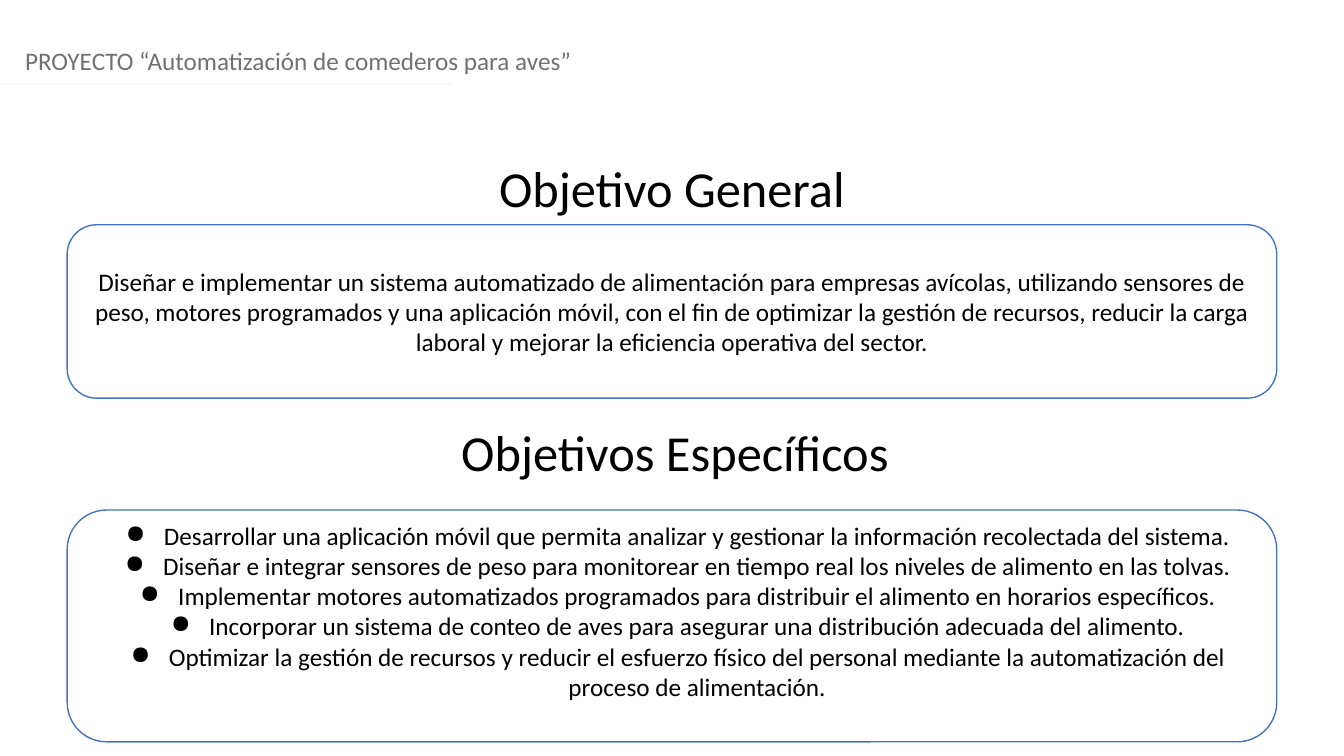
"""Build the objectives slide of the bird feeder project."""
from lxml import etree
from pptx import Presentation
from pptx.dml.color import RGBColor
from pptx.enum.shapes import MSO_CONNECTOR, MSO_SHAPE
from pptx.enum.text import MSO_ANCHOR, PP_ALIGN
from pptx.oxml.ns import qn
from pptx.util import Inches, Pt

ROUNDED = MSO_SHAPE.ROUNDED_RECTANGLE
STRAIGHT = MSO_CONNECTOR.STRAIGHT
MIDDLE = MSO_ANCHOR.MIDDLE
LEFT, CENTER = PP_ALIGN.LEFT, PP_ALIGN.CENTER

FONT = "Calibri"
COLORS = {"text": "000000", "project": "757070", "rule": "F5F7FC",
          "panel": "FFFFFF", "outline": "4472C4"}
WIDTH, HEIGHT = 13.33, 7.5
MARGIN = WIDTH * 0.05
HEADING_HEIGHT = 0.71
BODY_SIZE, HEADING_SIZE = 18, 36
BODY_LINE = 0.3
INSET = 0.05

HEADINGS = [
    ("PROYECTO “Automatización de comederos para aves”", 0.15, 0.4, BODY_SIZE, LEFT, "project"),
    ("Objetivo General", 0, 1.51, HEADING_SIZE, CENTER, "text"),
    ("Objetivos Específicos", 0.03, 4.13, HEADING_SIZE, CENTER, "text"),
]
GENERAL = [
    "Diseñar e implementar un sistema automatizado de alimentación para empresas avícolas, "
    "utilizando sensores de peso, motores programados y una aplicación móvil, con el fin de "
    "optimizar la gestión de recursos, reducir la carga laboral y mejorar la eficiencia "
    "operativa del sector.",
]
SPECIFIC = [
    "Desarrollar una aplicación móvil que permita analizar y gestionar la información "
    "recolectada del sistema.",
    "Diseñar e integrar sensores de peso para monitorear en tiempo real los niveles de "
    "alimento en las tolvas.",
    "Implementar motores automatizados programados para distribuir el alimento en horarios "
    "específicos.",
    "Incorporar un sistema de conteo de aves para asegurar una distribución adecuada del "
    "alimento.",
    "Optimizar la gestión de recursos y reducir el esfuerzo físico del personal mediante la "
    "automatización del proceso de alimentación.",
]
PANELS = [
    (GENERAL, 2.23, 1.72, INSET, False),
    (SPECIFIC, 5.06, 2.3, INSET + BODY_LINE, True),
]


def write(para, text, size, align, color):
    para.alignment = align
    span = para.add_run()
    span.text = text
    span.font.name = FONT
    span.font.size = Pt(size)
    span.font.color.rgb = RGBColor.from_string(COLORS[color])


def add_bullet(para):
    properties = para._p.get_or_add_pPr()
    properties.set("marL", str(Inches(0.5)))
    properties.set("indent", str(Inches(-0.38)))
    bullet_color = etree.SubElement(properties, qn("a:buClr"))
    etree.SubElement(bullet_color, qn("a:srgbClr"), val=COLORS["text"])
    etree.SubElement(properties, qn("a:buChar"), char="●")


deck = Presentation()
deck.slide_width, deck.slide_height = Inches(WIDTH), Inches(HEIGHT)
page = deck.slides.add_slide(deck.slide_layouts[6])

for text, left, top, size, align, color in HEADINGS:
    box = page.shapes.add_textbox(Inches(left), Inches(top), Inches(WIDTH), Inches(HEADING_HEIGHT))
    box.text_frame.word_wrap = True
    write(box.text_frame.paragraphs[0], text, size, align, color)

rule = page.shapes.add_connector(STRAIGHT, 0, Inches(0.83), Inches(4.47), Inches(0.83))
rule.line.color.rgb = RGBColor.from_string(COLORS["rule"])
rule.line.width = Pt(1.25)
etree.SubElement(rule._element.spPr, qn("a:effectLst"))

for objectives, top, height, bottom_inset, bulleted in PANELS:
    panel = page.shapes.add_shape(
        ROUNDED, Inches(MARGIN), Inches(top), Inches(WIDTH - 2 * MARGIN), Inches(height))
    panel.adjustments[0] = 0.17
    panel.shadow.inherit = False
    panel.fill.solid()
    panel.fill.fore_color.rgb = RGBColor.from_string(COLORS["panel"])
    panel.line.color.rgb = RGBColor.from_string(COLORS["outline"])
    panel.line.width = Pt(1)
    frame = panel.text_frame
    frame.word_wrap = True
    frame.vertical_anchor = MIDDLE
    frame.margin_bottom = Inches(bottom_inset)
    for index, objective in enumerate(objectives):
        para = frame.add_paragraph() if index else frame.paragraphs[0]
        write(para, objective, BODY_SIZE, CENTER, "text")
        if bulleted:
            add_bullet(para)

deck.save("out.pptx")
